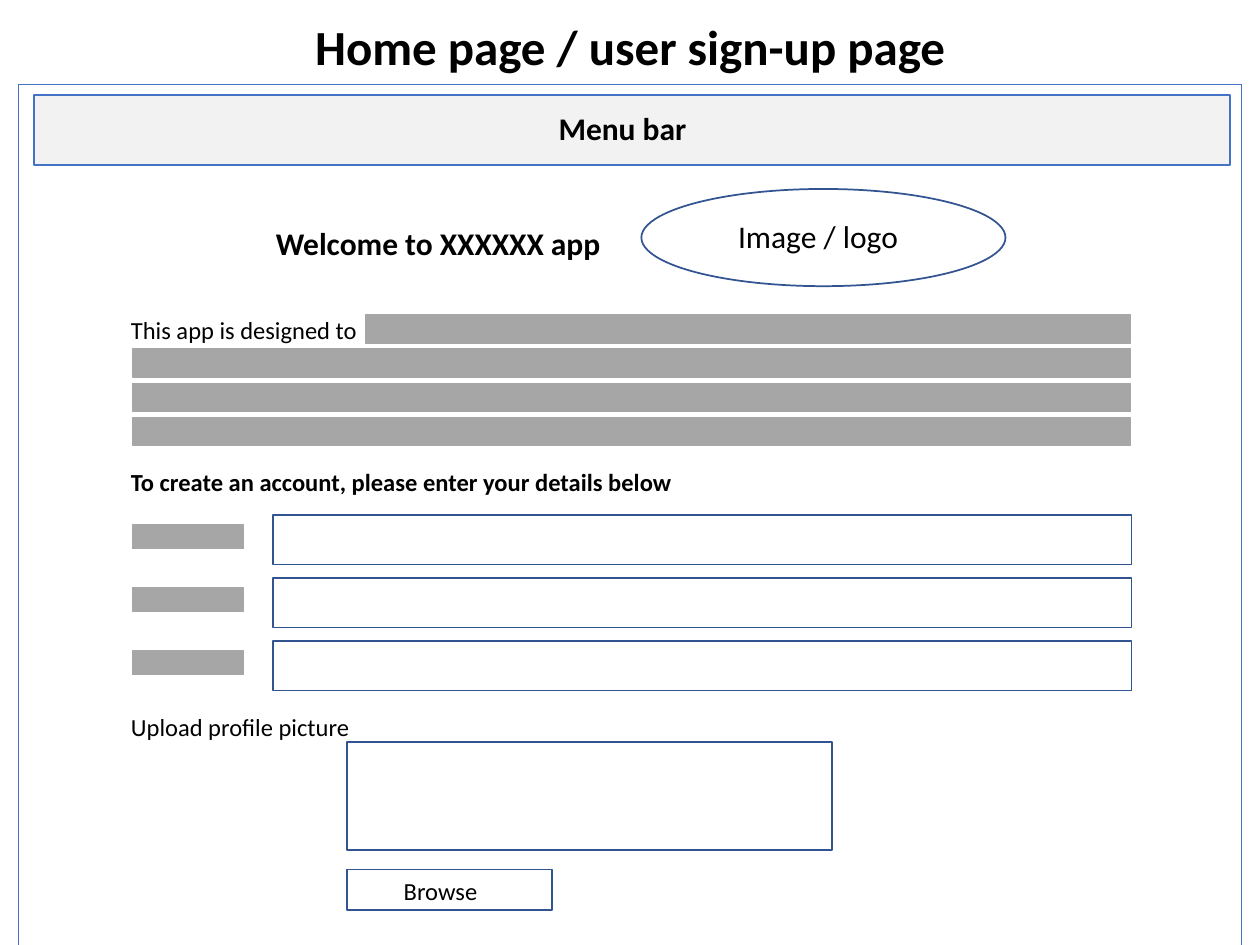
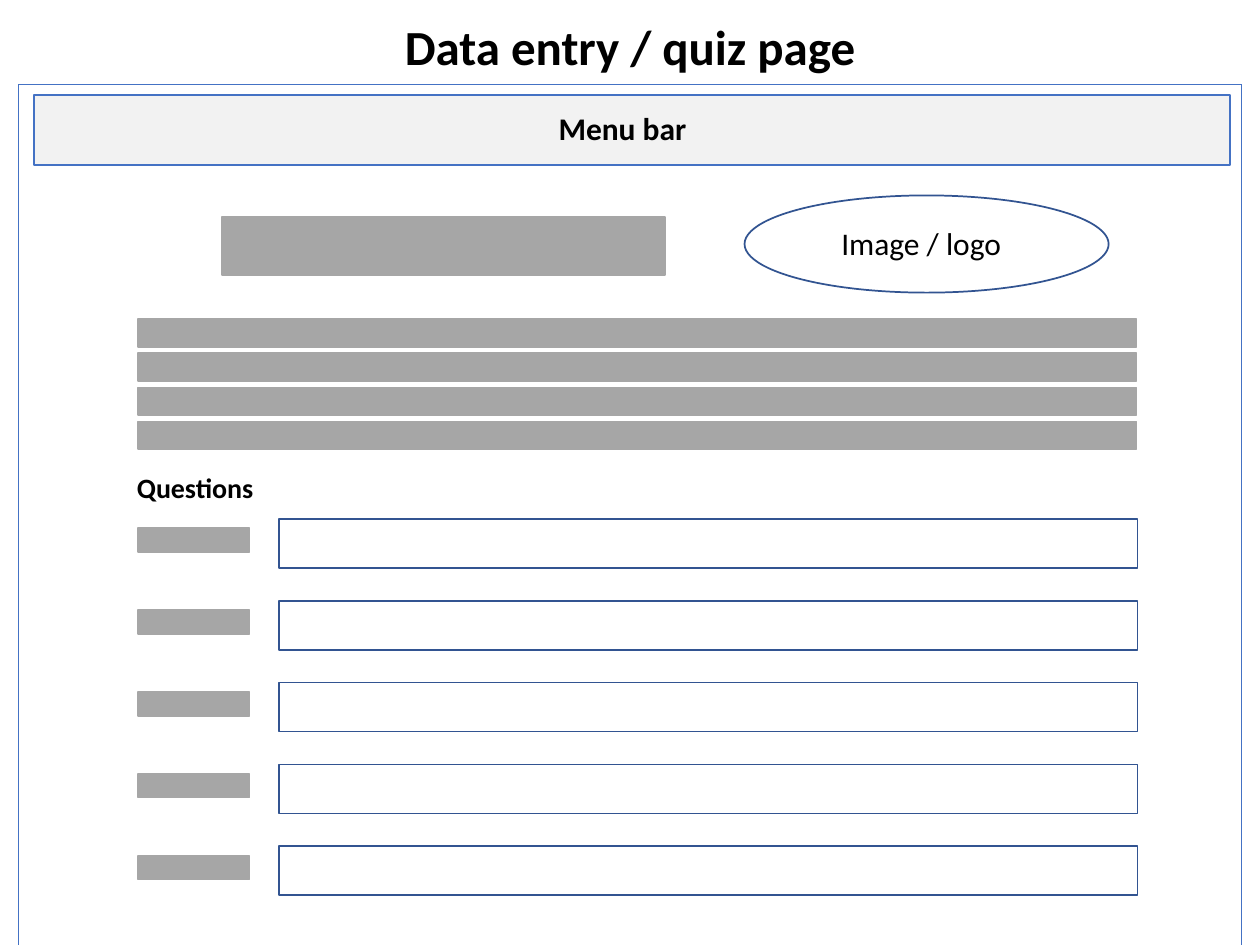
from pptx import Presentation
from pptx.dml.color import RGBColor
from pptx.enum.shapes import MSO_CONNECTOR, MSO_SHAPE
from pptx.enum.text import MSO_ANCHOR, MSO_AUTO_SIZE, PP_ALIGN
from pptx.oxml.ns import qn
from pptx.util import Cm, Pt
from lxml import etree

FONT = "Calibri"
BLACK, GREY, PALE = "000000", "A6A6A6", "F2F2F2"
BLUE, NAVY = "4472C4", "325491"

# All lengths are centimetres; boxes are (left, top, width, height).
SLIDE_W, SLIDE_H = 25.4, 19.05
TITLE_BOX = (4.55, 0.2, 16.3, 1.45)
FRAME_LEFT, FRAME_TOP, FRAME_RIGHT = 0.38, 1.7, 25.02
MENU_BAND = (0.69, 1.91, 24.1, 1.42)
MENU_TEXT = (6.63, 2.08, 11.84, 1.02)
LOGO_SIZE = (7.34, 1.96)
LINE_W, LINE_H, LINE_PITCH, LINE_COUNT = 20.12, 0.56, 0.69, 4
LABEL_W, LABEL_H, LABEL_DROP = 2.24, 0.48, 0.19
FIELD_INDENT, FIELD_W, FIELD_H = 2.84, 17.3, 0.99
TEXT_INSET = 0.28

PAGES = [
    dict(title="Home page / user sign-up page", left=2.67, logo=(12.93, 3.81),
         welcome=("Welcome to XXXXXX app", (4.9, 4.39, 7.87, 1.02)),
         lines_top=6.35, intro=("This app is designed to", 4.7),
         heading=("To create an account, please enter your details below", 9.3, 14),
         fields_top=10.39, field_pitch=1.27, field_count=3,
         upload=("Upload profile picture", "Browse")),
    dict(title="Data entry / quiz page", left=2.79, logo=(15.01, 3.94),
         headline_bar=(4.47, 4.37, 8.94, 1.17),
         lines_top=6.43,
         heading=("Questions", 9.37, 16),
         fields_top=10.46, field_pitch=1.65, field_count=5),
]


def color(hex_code):
    """Turn a hex string into a colour."""
    return RGBColor.from_string(hex_code)


def lengths(box):
    """Convert a box in centimetres to slide lengths."""
    return [Cm(value) for value in box]


def write(frame, words, size, bold=False, align=PP_ALIGN.LEFT):
    """Write one styled run into a text frame."""
    frame.word_wrap = True
    paragraph = frame.paragraphs[0]
    paragraph.alignment = align
    run = paragraph.add_run()
    run.text = words
    run.font.name, run.font.size, run.font.bold = FONT, Pt(size), bold
    run.font.color.rgb = color(BLACK)


def add_text(shapes, words, box, size, bold=False, align=PP_ALIGN.LEFT):
    """Add a text box."""
    frame = shapes.add_textbox(*lengths(box)).text_frame
    write(frame, words, size, bold, align)
    frame.auto_size = MSO_AUTO_SIZE.SHAPE_TO_FIT_TEXT


def add_box(shapes, box, fill=None, outline=NAVY, form=MSO_SHAPE.RECTANGLE):
    """Add an outlined shape, hollow unless a fill is given."""
    shape = shapes.add_shape(form, *lengths(box))
    shape.shadow.inherit = False
    if fill:
        shape.fill.solid()
        shape.fill.fore_color.rgb = color(fill)
    else:
        shape.fill.background()
    shape.line.color.rgb = color(outline)
    shape.line.width = Pt(1)


def add_bar(shapes, box):
    """Add a grey bar that stands for text."""
    add_box(shapes, box, GREY, GREY)


def add_frame(shapes):
    """Draw the top and both sides of the page frame."""
    top_left, top_right = (FRAME_LEFT, FRAME_TOP), (FRAME_RIGHT, FRAME_TOP)
    for start, end in [(top_left, top_right),
                       (top_left, (FRAME_LEFT, SLIDE_H)),
                       (top_right, (FRAME_RIGHT, SLIDE_H))]:
        edge = shapes.add_connector(MSO_CONNECTOR.STRAIGHT, *lengths(start + end))
        edge.line.color.rgb = color(BLUE)
        edge.line.width = Pt(0.5)
        etree.SubElement(edge.element.find(qn("p:spPr")), qn("a:effectLst"))


def add_title(slide, words):
    """Place and fill the title placeholder."""
    title = slide.shapes.title
    title.left, title.top, title.width, title.height = lengths(TITLE_BOX)
    title.text_frame.vertical_anchor = MSO_ANCHOR.TOP
    write(title.text_frame, words, 28, True, PP_ALIGN.CENTER)
    title.text_frame.auto_size = MSO_AUTO_SIZE.NONE


def add_logo(shapes, left, top):
    """Group the logo ellipse with its caption."""
    logo = shapes.add_group_shape().shapes
    add_box(logo, (left, top, *LOGO_SIZE), form=MSO_SHAPE.OVAL)
    add_text(logo, "Image / logo", (left + 1.7, top + 0.45, 5.51, 1.02), 18)


def add_lines(shapes, left, top, first_indent):
    """Stack the grey lines; the first may start after some words."""
    for i in range(LINE_COUNT):
        indent = 0 if i else first_indent
        add_bar(shapes, (left + indent, top + i * LINE_PITCH,
                         LINE_W - indent, LINE_H))


def add_fields(shapes, left, top, pitch, count):
    """Stack the label bars with their entry fields."""
    for i in range(count):
        y = top + i * pitch
        add_box(shapes, (left + FIELD_INDENT, y, FIELD_W, FIELD_H))
        add_bar(shapes, (left, y + LABEL_DROP, LABEL_W, LABEL_H))


def add_upload(shapes, text_left, caption, button):
    """Add the picture upload area and its button."""
    add_text(shapes, caption, (text_left, 14.22, 5.51, 0.86), 14)
    add_box(shapes, (6.99, 14.96, 9.78, 2.18))
    add_box(shapes, (6.99, 17.53, 4.14, 0.81))
    add_text(shapes, button, (6.81, 17.53, 4.14, 0.86), 14, align=PP_ALIGN.CENTER)


def add_menu(shapes):
    """Add the menu band."""
    add_box(shapes, MENU_BAND, PALE, BLUE)
    add_text(shapes, "Menu bar", MENU_TEXT, 18, True, PP_ALIGN.CENTER)


def build_page(deck, page):
    """Build one wireframe page."""
    slide = deck.slides.add_slide(deck.slide_layouts[5])
    shapes, left = slide.shapes, page["left"]
    text_left = left - TEXT_INSET
    add_title(slide, page["title"])
    add_frame(shapes)
    if "welcome" in page:
        words, box = page["welcome"]
        add_text(shapes, words, box, 18, True, PP_ALIGN.CENTER)
    if "headline_bar" in page:
        add_bar(shapes, page["headline_bar"])
    intro, first_indent = page.get("intro", ("", 0))
    if intro:
        add_text(shapes, intro, (text_left, 6.22, 21.34, 0.86), 14)
    heading, heading_top, size = page["heading"]
    add_text(shapes, heading, (text_left, heading_top, 21.77, 0.9), size, True)
    add_logo(shapes, *page["logo"])
    add_lines(shapes, left, page["lines_top"], first_indent)
    add_fields(shapes, left, page["fields_top"], page["field_pitch"],
               page["field_count"])
    if "upload" in page:
        add_upload(shapes, text_left, *page["upload"])
    add_menu(shapes)


deck = Presentation()
deck.slide_width, deck.slide_height = Cm(SLIDE_W), Cm(SLIDE_H)
for page in PAGES:
    build_page(deck, page)
deck.save("out.pptx")
